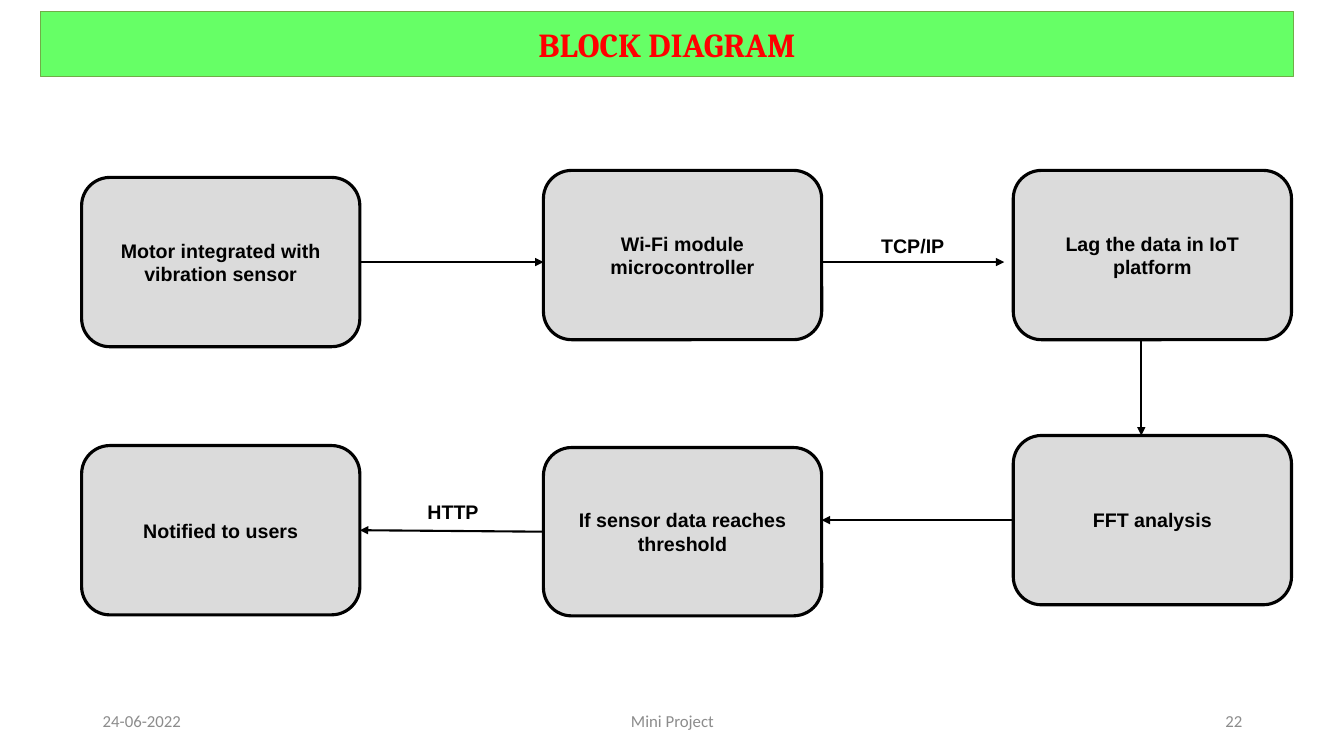
"""Build the block diagram slide of a vibration monitoring project."""
from lxml import etree
from pptx import Presentation
from pptx import util as u
from pptx.dml.color import RGBColor
from pptx.enum import shapes, text
from pptx.oxml.ns import qn

COLOURS = {
    "banner": "66FF66", "banner_edge": "70AD47", "title": "FF0000",
    "block": "DBDBDB", "ink": "000000", "label_edge": "FFFFFF", "footer": "8C8C8C",
}
BLOCK_W, BLOCK_H = 2.76, 1.68
LEFT, MIDDLE, RIGHT = 0.81, 5.39, 10.05
BLOCKS = {
    "motor": (LEFT, 1.76, BLOCK_H, "Motor integrated with vibration sensor"),
    "cloud": (RIGHT, 1.69, BLOCK_H, "Lag the data in IoT platform"),
    "wifi": (MIDDLE, 1.69, BLOCK_H, "Wi-Fi module\nmicrocontroller"),
    "users": (LEFT, 4.42, BLOCK_H, "Notified to users"),
    "threshold": (MIDDLE, 4.44, 1.67, "If sensor data reaches threshold"),
    "fft": (RIGHT, 4.32, BLOCK_H, "FFT analysis"),
}
LABELS = [(8.64, 2.27, "TCP/IP"), (4.14, 4.91, "HTTP")]
SIDE_LEFT, SIDE_RIGHT = 1, 3
ARROWS = [
    ((LEFT + BLOCK_W, 2.6), (MIDDLE, 2.6), ("motor", SIDE_RIGHT), None),
    ((MIDDLE + BLOCK_W, 2.6), (9.96, 2.6), None, None),
    ((MIDDLE, 5.27), (LEFT + BLOCK_W, 5.25), ("threshold", SIDE_LEFT), ("users", SIDE_RIGHT)),
    ((RIGHT, 5.16), (MIDDLE + BLOCK_W, 5.16), ("fft", SIDE_LEFT), None),
    ((11.32, 3.37), (11.32, 4.32), None, None),
]
FOOTERS = [
    (0.92, 3, "24-06-2022", text.PP_ALIGN.LEFT),
    (4.42, 4.5, "Mini Project", text.PP_ALIGN.CENTER),
    (9.42, 3, "22", text.PP_ALIGN.RIGHT),
]


def colour(name):
    """Return the named colour of the slide."""
    return RGBColor.from_string(COLOURS[name])


def write(holder, words, font, size, ink, bold=True,
          align=text.PP_ALIGN.CENTER, anchor=text.MSO_ANCHOR.MIDDLE):
    """Fill a shape with formatted wording."""
    frame = holder.text_frame
    frame.text = words
    frame.word_wrap = True
    frame.vertical_anchor = anchor
    for paragraph in frame.paragraphs:
        paragraph.alignment = align
        for run in paragraph.runs:
            run.font.name = font
            run.font.size = u.Pt(size)
            run.font.bold = bold
            run.font.color.rgb = colour(ink)


def add_panel(slide, kind, box, fill, edge, width):
    """Add a flat shape with the given fill and outline."""
    panel = slide.shapes.add_shape(kind, *map(u.Inches, box))
    panel.shadow.inherit = False
    if fill:
        panel.fill.solid()
        panel.fill.fore_color.rgb = colour(fill)
    else:
        panel.fill.background()
    panel.line.color.rgb = colour(edge)
    panel.line.width = u.Pt(width)
    return panel


def add_banner(slide, box):
    """Add the title banner."""
    banner = add_panel(slide, shapes.MSO_SHAPE.RECTANGLE, box, "banner", "banner_edge", 0.5)
    write(banner, "BLOCK DIAGRAM", "Cambria", 24, "title")


def add_block(slide, box, words):
    """Add one rounded block of the diagram."""
    block = add_panel(slide, shapes.MSO_SHAPE.ROUNDED_RECTANGLE, box, "block", "ink", 2.25)
    write(block, words, "Arial", 14, "ink")
    return block


def add_label(slide, box, words):
    """Add a protocol label above an arrow."""
    label = add_panel(slide, shapes.MSO_SHAPE.RECTANGLE, box, None, "label_edge", 0.5)
    write(label, words, "Arial", 14, "ink",
          align=text.PP_ALIGN.LEFT, anchor=text.MSO_ANCHOR.TOP)


def add_arrow(slide, blocks, start, end, source, target):
    """Add an arrow, joined to blocks where it meets the middle of a side."""
    arrow = slide.shapes.add_connector(
        shapes.MSO_CONNECTOR.STRAIGHT, *map(u.Inches, start + end))
    if source:
        arrow.begin_connect(blocks[source[0]], source[1])
    if target:
        arrow.end_connect(blocks[target[0]], target[1])
    arrow.line.color.rgb = colour("ink")
    arrow.line.width = u.Pt(1.5)
    etree.SubElement(arrow.line._get_or_add_ln(), qn("a:tailEnd"), type="triangle")
    etree.SubElement(arrow._element.spPr, qn("a:effectLst"))


def add_diagram(slide):
    """Add the blocks, protocol labels and arrows."""
    blocks = {name: add_block(slide, (left, top, BLOCK_W, height), words)
              for name, (left, top, height, words) in BLOCKS.items()}
    for left, top, words in LABELS:
        add_label(slide, (left, top, 0.92, 0.4), words)
    for ends in ARROWS:
        add_arrow(slide, blocks, *ends)


def add_footer(slide, top, height):
    """Add the date, project name and slide number."""
    for left, width, words, align in FOOTERS:
        note = slide.shapes.add_textbox(*map(u.Inches, (left, top, width, height)))
        write(note, words, "Calibri", 12, "footer", bold=False, align=align)


def main():
    """Build and save the presentation."""
    deck = Presentation()
    deck.slide_width, deck.slide_height = u.Inches(13.33), u.Inches(7.5)
    slide = deck.slides.add_slide(deck.slide_layouts[6])
    add_footer(slide, 6.95, 0.4)
    add_diagram(slide)
    add_banner(slide, (0.4, 0.11, 12.43, 0.65))
    deck.save("out.pptx")


if __name__ == "__main__":
    main()
